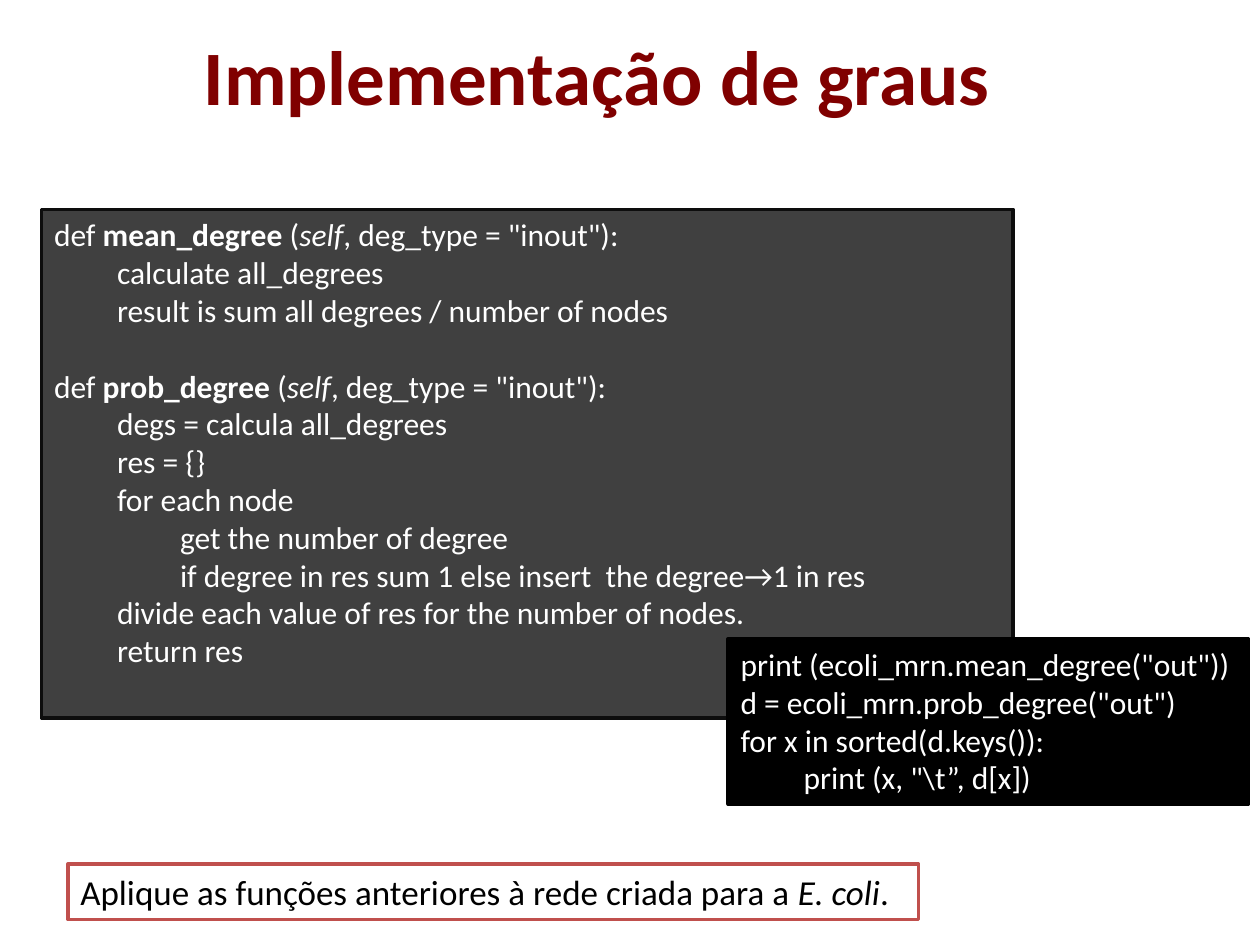
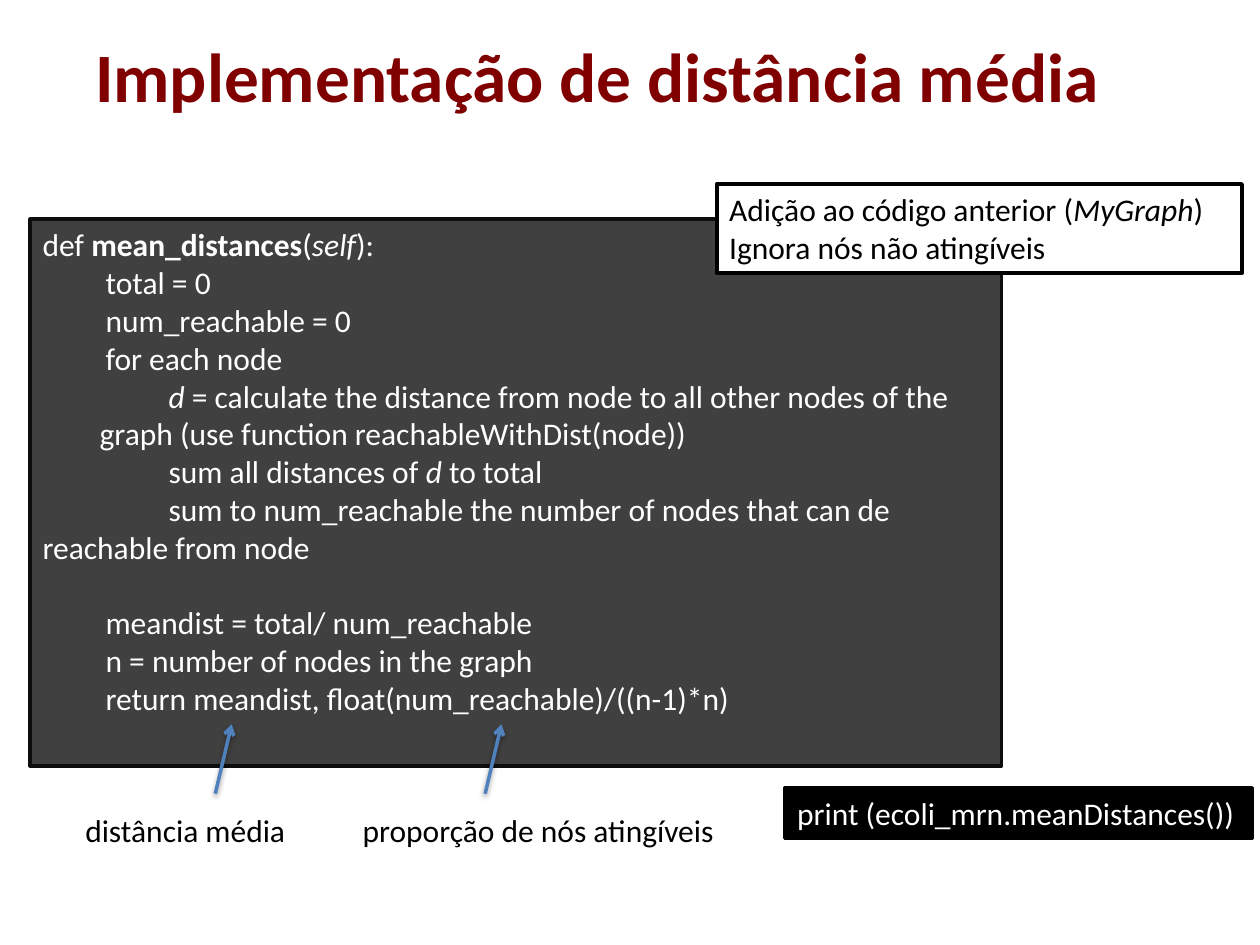
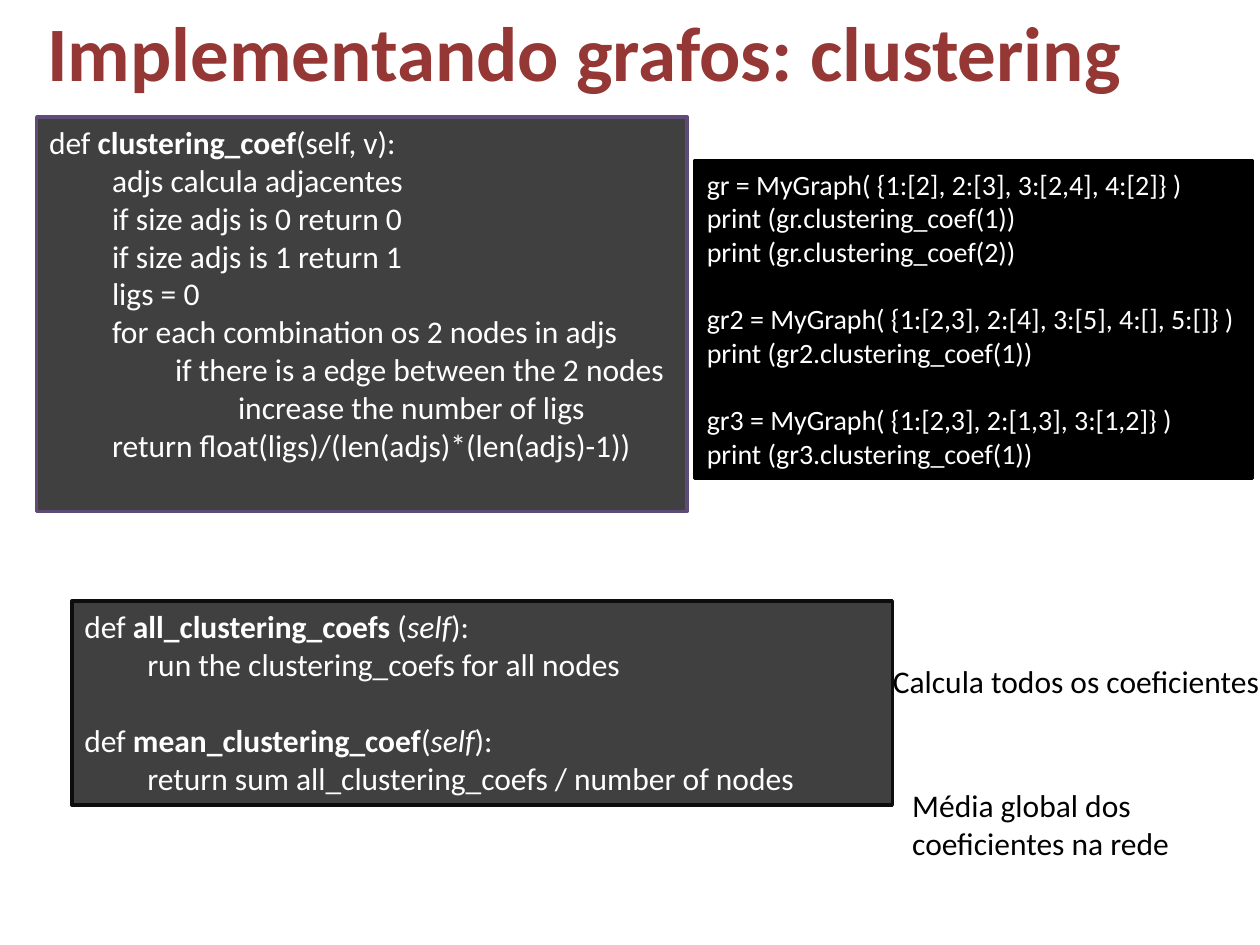
"""Build three slides on graph degrees, mean distance and clustering."""
from itertools import groupby
from lxml.etree import SubElement as Sub
from pptx import Presentation
from pptx.dml.color import RGBColor as Rgb
from pptx.enum.shapes import MSO_CONNECTOR as Link, MSO_SHAPE as Form
from pptx.enum.text import MSO_ANCHOR as Anchor, PP_ALIGN as Align
from pptx.oxml.ns import qn
from pptx.util import Cm, Pt

FONT = "Calibri"
TAB = 1.27
LEAD = 1.2
BOLD, SLANT = "^", "~"
HUES = {
    "white": "FFFFFF", "black": "000000", "gray": "404040", "ink": "0D0D0D",
    "wine": "800000", "brick": "953735", "red": "C0504D",
    "plum": "5F4A78", "blue": "4F81BD",
}
KINDS = {
    "code": dict(fill="gray", line="ink", hue="white"),
    "plum": dict(fill="gray", line="plum", hue="white"),
    "shell": dict(fill="black", line="black", hue="white"),
    "task": dict(fill="white", line="red", hue="black", size=20),
    "note": dict(fill="white", line="black", hue="black"),
    "label": dict(hue="black"),
}
SLIDES = [
    dict(
        title="Implementação de graus",
        boxes=[
            ("code", (0.84, 4.22, 19.58, 10.26), [
                'def ^mean_degree ^(~self~, deg_type = "inout"):',
                "\tcalculate all_degrees",
                "\tresult is sum all degrees / number of nodes",
                "",
                'def ^prob_degree ^(~self~, deg_type = "inout"):',
                "\tdegs = calcula all_degrees",
                "\tres = {}",
                "\tfor each node",
                "\t\tget the number of degree",
                "\t\tif degree in res sum 1 else insert  the degree→1 in res",
                "\tdivide each value of res for the number of nodes.",
                "\treturn res",
            ]),
            ("shell", (14.68, 12.88, 10.49, 3.33), [
                'print (ecoli_mrn.mean_degree("out"))',
                'd = ecoli_mrn.prob_degree("out")',
                "for x in sorted(d.keys()):",
                '\tprint (x, "\\t”, d[x])',
            ]),
            ("task", (1.37, 17.42, 17.15, 1.12), [
                "Aplique as funções anteriores à rede criada para a ~E. coli~.",
            ]),
        ],
    ),
    dict(
        title="Implementação de distância média",
        size=39.6,
        boxes=[
            ("code", (0.61, 4.42, 19.58, 11.02), [
                "def ^mean_distances^(~self~):",
                "\ttotal = 0",
                "\tnum_reachable = 0",
                "\tfor each node",
                ("\t\t~d~ = calculate the distance from node to all other nodes "
                 "of the graph (use function reachableWithDist(node))", 1.15),
                "\t\tsum all distances of ~d~ to total",
                ("\t\tsum to num_reachable the number of nodes that can de "
                 "reachable from node", 0),
                "",
                "\tmeandist = total/ num_reachable",
                "\tn = number of nodes in the graph",
                "\treturn meandist, float(num_reachable)/((n-1)*n)",
            ]),
            ("note", (14.45, 3.71, 10.59, 1.8), [
                "Adição ao código anterior (~MyGraph~)",
                "Ignora nós não atingíveis",
            ]),
            ("shell", (15.82, 15.88, 9.42, 1.02),
             ["print (ecoli_mrn.meanDistances())"]),
            ("label", (1.47, 16.23, 4.6, 1.02), ["distância média"]),
            ("label", (7.06, 16.23, 7.7, 1.02), ["proporção de nós atingíveis"]),
        ],
        arrows=[(4.34, 16, 4.67, 14.6), (9.78, 16, 10.11, 14.6)],
    ),
    dict(
        title="Implementando grafos: clustering",
        hue="brick",
        spot=(0.36, -0.56),
        boxes=[
            ("plum", (0.74, 2.36, 13.11, 7.95), [
                "def ^clustering_coef^(self, v):",
                "\tadjs calcula adjacentes",
                "\tif size adjs is 0 return 0",
                "\tif size adjs is 1 return 1",
                "\tligs = 0",
                "\tfor each combination os 2 nodes in adjs",
                "\t\tif there is a edge between the 2 nodes",
                "\t\t\tincrease the number of ligs",
                "\treturn float(ligs)/(len(adjs)*(len(adjs)-1))",
            ]),
            ("shell", (14, 3.25, 11.25, 6.4), [
                "gr = MyGraph( {1:[2], 2:[3], 3:[2,4], 4:[2]} )",
                "print (gr.clustering_coef(1))",
                "print (gr.clustering_coef(2))",
                "",
                "gr2 = MyGraph( {1:[2,3], 2:[4], 3:[5], 4:[], 5:[]} )",
                "print (gr2.clustering_coef(1))",
                "",
                "gr3 = MyGraph( {1:[2,3], 2:[1,3], 3:[1,2]} )",
                "print (gr3.clustering_coef(1))",
            ], 16),
            ("code", (1.45, 12.12, 16.54, 4.11), [
                "def ^all_clustering_coefs ^(~self~):",
                "\trun the clustering_coefs for all nodes",
                "",
                "def ^mean_clustering_coef^(~self~):",
                "\treturn sum all_clustering_coefs / number of nodes",
            ]),
            ("label", (17.75, 13.23, 8, 1.02), ["Calcula todos os coeficientes"]),
            ("label", (18.14, 15.72, 8, 1.8),
             ["Média global dos coeficientes na rede"]),
        ],
    ),
]


def tint(name):
    """Return a named colour."""
    return Rgb.from_string(HUES[name])


def write(frame, lines, size=18, hue="black", bold=False,
          align=Align.LEFT, anchor=Anchor.TOP):
    """Fill a frame with marked lines; an empty line becomes space."""
    frame.word_wrap = True
    frame.vertical_anchor = anchor
    gap, first = 0, True
    for line in lines:
        text, left = line if isinstance(line, tuple) else (line, None)
        if not text:
            gap = size * LEAD
            continue
        para = frame.paragraphs[0] if first else frame.add_paragraph()
        para.alignment = align
        para.space_before = Pt(gap)
        gap, first = 0, False
        body = text.lstrip("\t")
        start = (len(text) - len(body)) * TAB
        left = start if left is None else left
        props = para._p.get_or_add_pPr()
        props.set("marL", str(Cm(left)))
        props.set("indent", str(Cm(start - left)))
        heavy, slant = bold, False
        for mark, chars in groupby(body, lambda c: c if c in BOLD + SLANT else ""):
            if mark:
                heavy ^= mark == BOLD
                slant ^= mark == SLANT
                continue
            run = para.add_run()
            run.text = "".join(chars)
            font = run.font
            font.name, font.size = FONT, Pt(size)
            font.bold, font.italic = heavy, slant
            font.color.rgb = tint(hue)


def place(slide, spot, fill=None, line=None):
    """Add a filled box, or a plain text box, and return its frame."""
    area = [Cm(n) for n in spot]
    if not fill:
        return slide.shapes.add_textbox(*area).text_frame
    box = slide.shapes.add_shape(Form.RECTANGLE, *area)
    box.shadow.inherit = False
    box.fill.solid()
    box.fill.fore_color.rgb = tint(fill)
    box.line.color.rgb = tint(line)
    box.line.width = Pt(2)
    return box.text_frame


def point(slide, ends):
    """Add an arrow with a soft shadow."""
    arrow = slide.shapes.add_connector(Link.STRAIGHT, *[Cm(n) for n in ends])
    arrow.line.color.rgb = tint("blue")
    arrow.line.width = Pt(2)
    Sub(arrow.line._get_or_add_ln(), qn("a:tailEnd"), type="arrow")
    glow = Sub(arrow._element.spPr, qn("a:effectLst"))
    shade = Sub(glow, qn("a:outerShdw"), blurRad="40000", dist="20000",
                dir="5400000", rotWithShape="0")
    tone = Sub(shade, qn("a:srgbClr"), val=HUES["black"])
    Sub(tone, qn("a:alpha"), val="38000")


def build(deck, page):
    """Add one slide."""
    slide = deck.slides.add_slide(deck.slide_layouts[6])
    spot = page.get("spot", (0.61, -0.08))
    write(place(slide, (*spot, 22.86, 3.18)), [page["title"]],
          size=page.get("size", 44), hue=page.get("hue", "wine"), bold=True,
          align=Align.CENTER, anchor=Anchor.MIDDLE)
    for kind, area, lines, *size in page["boxes"]:
        look = KINDS[kind]
        frame = place(slide, area, look.get("fill"), look.get("line"))
        write(frame, lines, size=size[0] if size else look.get("size", 18),
              hue=look["hue"])
    for ends in page.get("arrows", []):
        point(slide, ends)


deck = Presentation()
deck.slide_width, deck.slide_height = Cm(25.4), Cm(19.05)
for page in SLIDES:
    build(deck, page)
deck.save("out.pptx")
